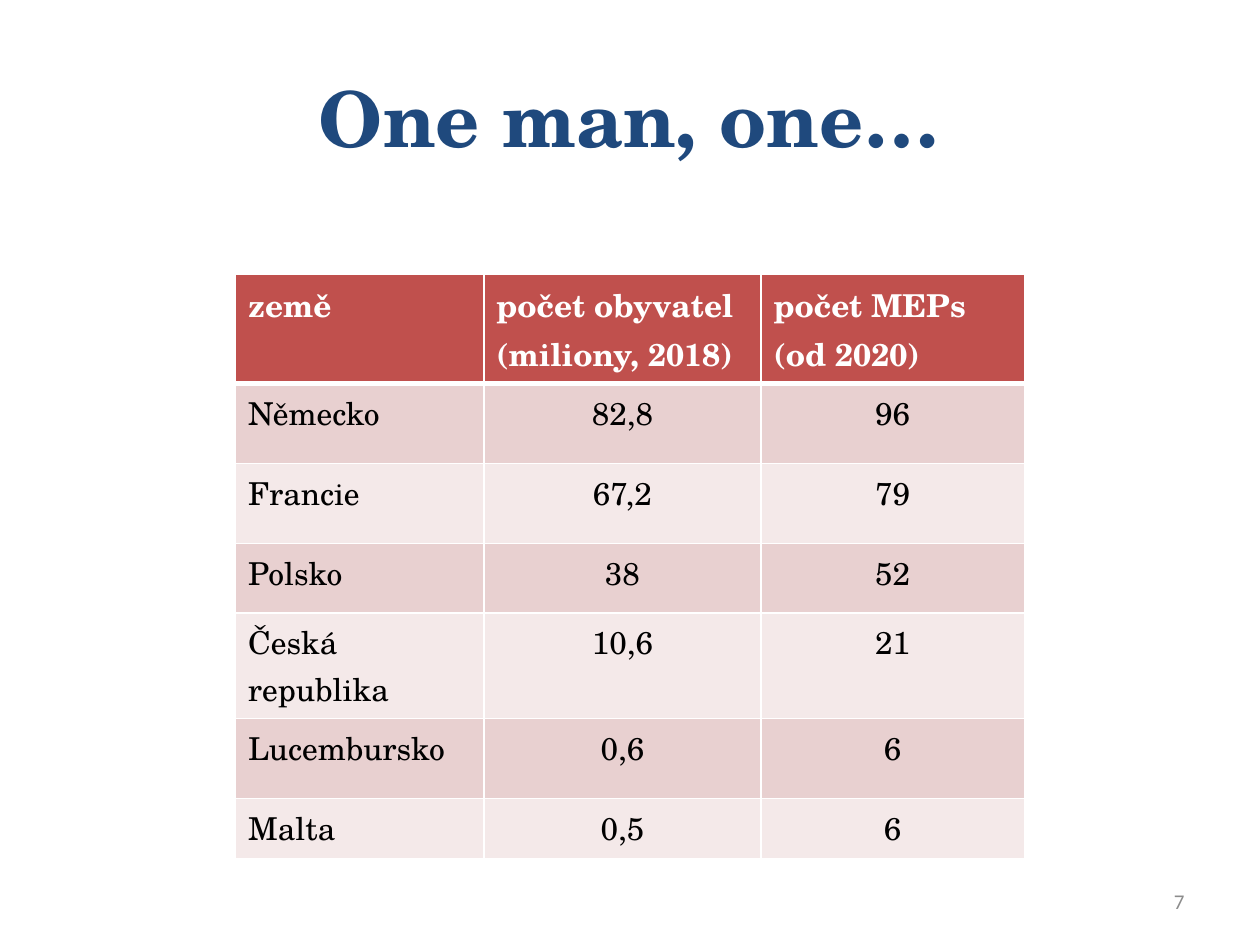
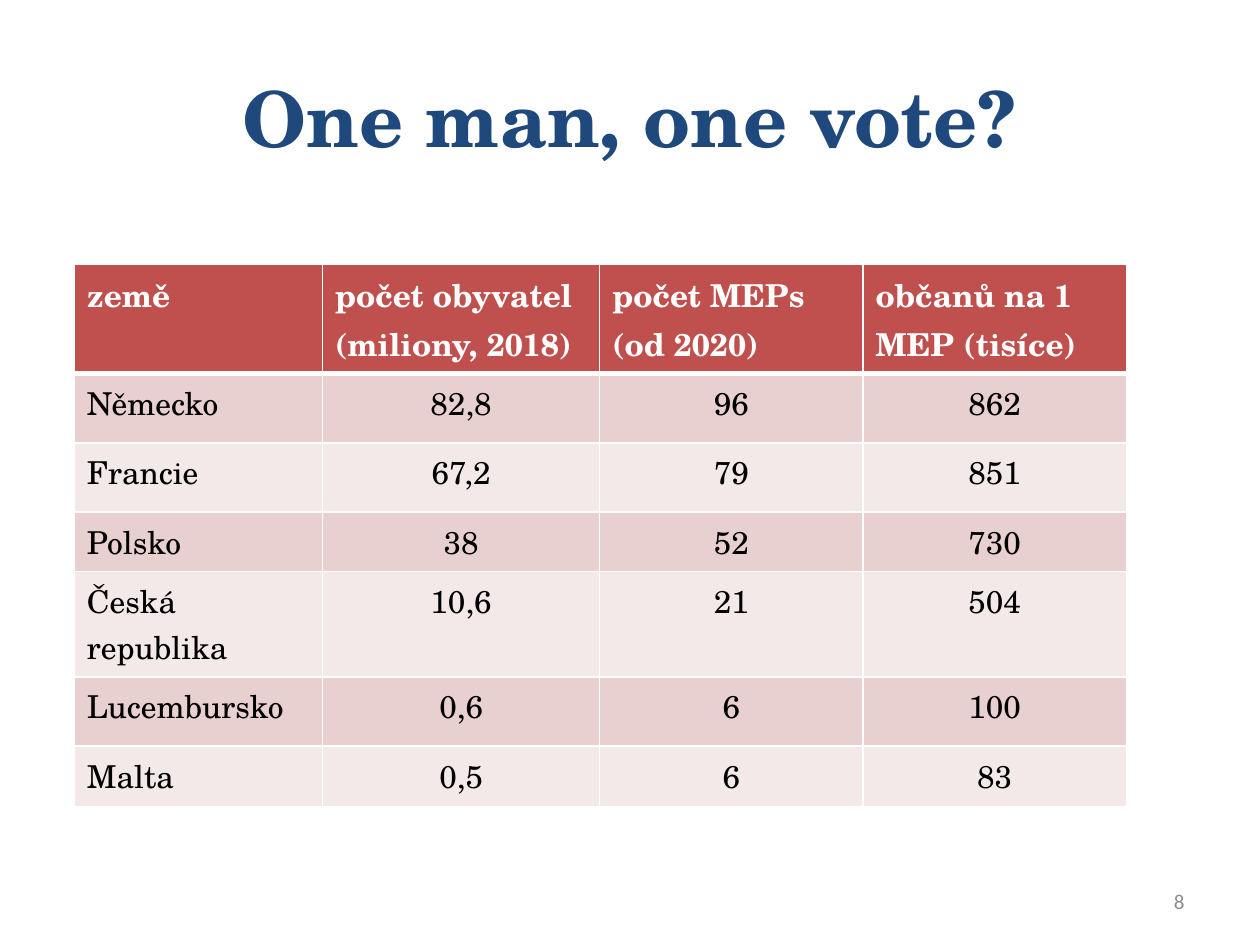
from lxml.etree import SubElement
from pptx import Presentation
from pptx.dml.color import RGBColor
from pptx.enum.text import MSO_ANCHOR as Anchor, PP_ALIGN as Align
from pptx.oxml.ns import qn
from pptx.util import Emu, Inches, Pt

COLORS = {
    "title": "1F497D",
    "number": "8C8C8C",
    "header": "C0504D",
    "odd_row": "E8D0D0",
    "even_row": "F4E9E9",
    "white": "FFFFFF",
    "black": "000000",
}
SERIF, SANS = "TeX Gyre Schola", "Calibri"
WIDTH, HEIGHT = Inches(10), Inches(7.5)
GRID_COLUMNS, GRID_ROWS = 100, 75
TITLE_BOX = (5, 3, 90, 12.5)
NUMBER_BOX = (71.7, 69.5, 23.3, 4)
COLUMN_WIDTHS = [19.7, 22, 20.9, 20.9]
HEADER_HEIGHT, WRAPPED_HEIGHT, LAST_HEIGHT = 8.65, 8.37, 4.8
COUNTRIES = [
    ("země", "počet obyvatel\n(miliony, 2018)", "počet MEPs\n(od 2020)", "občanů na 1 MEP (tisíce)"),
    ("Německo", "82,8", "96", "862"),
    ("Francie", "67,2", "79", "851"),
    ("Polsko", "38", "52", "730"),
    ("Česká republika", "10,6", "21", "504"),
    ("Lucembursko", "0,6", "6", "100"),
    ("Malta", "0,5", "6", "83"),
]


def across(columns):
    """Return the width of a number of grid columns."""
    return Emu(round(WIDTH * columns / GRID_COLUMNS))


def down(rows):
    """Return the height of a number of grid rows."""
    return Emu(round(HEIGHT * rows / GRID_ROWS))


def place(box):
    """Turn a box in grid units into slide lengths."""
    left, top, width, height = box
    return across(left), down(top), across(width), down(height)


def write(frame, text, size=18, font=SERIF, color="black", bold=False, align=Align.LEFT):
    """Write text into a frame, one paragraph a line."""
    frame.word_wrap = True
    for index, line in enumerate(text.split("\n")):
        paragraph = frame.add_paragraph() if index else frame.paragraphs[0]
        paragraph.alignment = align
        run = paragraph.add_run()
        run.text = line
        run.font.size = Pt(size)
        run.font.name = font
        run.font.bold = bold
        run.font.color.rgb = RGBColor.from_string(COLORS[color])


def add_text(slide, box, text, **style):
    """Add a vertically centred text box."""
    frame = slide.shapes.add_textbox(*place(box)).text_frame
    frame.vertical_anchor = Anchor.MIDDLE
    write(frame, text, **style)


def set_borders(cell, **widths):
    """Draw white cell borders, with widths in points by side."""
    properties = cell._tc.get_or_add_tcPr()
    for side in "LRTB":
        line = SubElement(properties, qn(f"a:ln{side}"), w=str(Pt(widths.get(side, 1))))
        fill = SubElement(line, qn("a:solidFill"))
        SubElement(fill, qn("a:srgbClr"), val=COLORS["white"])


def fill_cell(cell, text, row, column):
    """Write and format a cell by its place in the table."""
    is_header = row == 0
    if is_header:
        set_borders(cell, B=3)
        background = "header"
    else:
        set_borders(cell, T=3 if row == 1 else 1)
        background = "odd_row" if row % 2 else "even_row"
    cell.fill.solid()
    cell.fill.fore_color.rgb = RGBColor.from_string(COLORS[background])
    write(
        cell.text_frame,
        text,
        color="white" if is_header else "black",
        bold=is_header,
        align=Align.LEFT if is_header or column == 0 else Align.CENTER,
    )


def add_country_table(slide, left, top, column_count, tall, short):
    """Add the country table with its leading columns."""
    widths = COLUMN_WIDTHS[:column_count]
    heights = [HEADER_HEIGHT, tall, tall, short, WRAPPED_HEIGHT, tall, LAST_HEIGHT]
    box = (left, top, sum(widths), sum(heights))
    table = slide.shapes.add_table(len(COUNTRIES), column_count, *place(box)).table
    for column, width in zip(table.columns, widths):
        column.width = across(width)
    for row, (values, height) in enumerate(zip(COUNTRIES, heights)):
        table.rows[row].height = down(height)
        for column, text in enumerate(values[:column_count]):
            fill_cell(table.cell(row, column), text, row, column)


def add_table_slide(presentation, title, number, **table):
    """Add a slide with a title, a page number and the country table."""
    slide = presentation.slides.add_slide(presentation.slide_layouts[6])
    add_text(slide, TITLE_BOX, title, size=44, color="title", bold=True, align=Align.CENTER)
    add_text(slide, NUMBER_BOX, str(number), size=12, font=SANS, color="number", align=Align.RIGHT)
    add_country_table(slide, **table)


def main():
    """Build and save the presentation."""
    presentation = Presentation()
    presentation.slide_width, presentation.slide_height = WIDTH, HEIGHT
    add_table_slide(
        presentation, "One man, one…", 7,
        left=18.7, top=21.8, column_count=3, tall=6.35, short=5.5,
    )
    add_table_slide(
        presentation, "One man, one vote?", 8,
        left=5.9, top=21, column_count=4, tall=5.5, short=4.7,
    )
    presentation.save("out.pptx")


if __name__ == "__main__":
    main()
